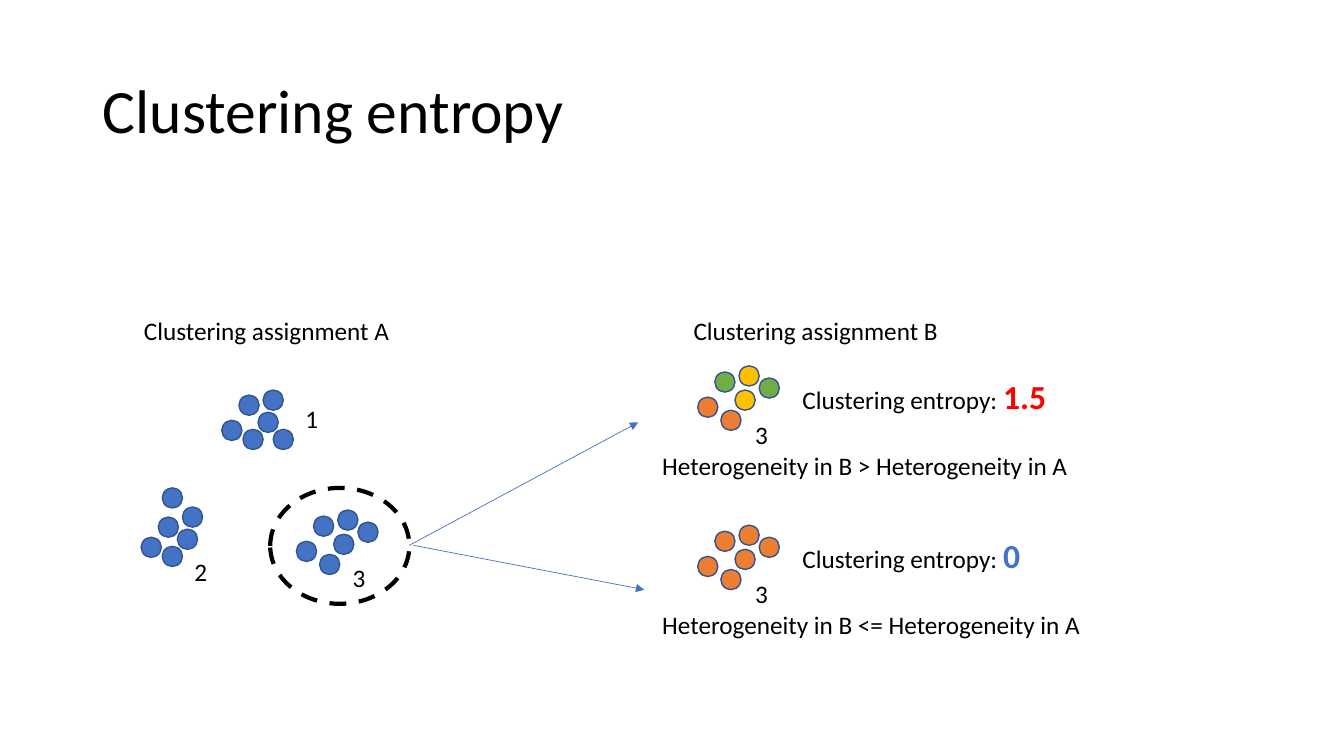
from lxml import etree
from pptx import Presentation
from pptx.dml.color import RGBColor
from pptx.enum.dml import MSO_LINE
from pptx.enum.shapes import MSO_CONNECTOR, MSO_SHAPE
from pptx.enum.text import MSO_ANCHOR, MSO_AUTO_SIZE, PP_ALIGN
from pptx.oxml.ns import qn
from pptx.util import Inches, Pt

OVAL = MSO_SHAPE.OVAL
STRAIGHT = MSO_CONNECTOR.STRAIGHT
DASH = MSO_LINE.DASH
LEFT = PP_ALIGN.LEFT
MIDDLE = MSO_ANCHOR.MIDDLE
FIT_SHAPE = MSO_AUTO_SIZE.SHAPE_TO_FIT_TEXT

BLUE, ORANGE, GREEN, YELLOW = "4472C4", "ED7D31", "70AD47", "FFC000"
OUTLINE, BLACK, RED = "325491", "000000", "FF0000"

# Content: lengths in inches
TITLE = "Clustering entropy"
DOT_SIZE = 0.2
LABEL_SIZE = (0.33, 0.4)
HEADING_TOP = 3.08

# Dot offsets from the top left corner of each cluster
CLUSTER_1 = [(0, 0.3), (0.17, 0.05), (0.21, 0.39), (0.36, 0.22), (0.41, 0), (0.51, 0.39)]
CLUSTER_2 = [(0, 0.49), (0.17, 0.29), (0.21, 0.58), (0.36, 0.41), (0.41, 0.19), (0.21, 0)]
CLUSTER_3 = [(0, 0.31), (0.17, 0.06), (0.23, 0.44), (0.61, 0.12), (0.41, 0), (0.37, 0.24)]

# Assignment A: label, corner, dot offsets, label offset
CLUSTERS_A = [
    ("1", (2.2, 3.87), CLUSTER_1, (0.73, 0.08)),
    ("2", (1.4, 4.84), CLUSTER_2, (0.43, 0.63)),
    ("3", (2.94, 5.06), CLUSTER_3, (0.46, 0.47)),
]

# Assignment B: top, dot colours, entropy, its colour and box width, verdict and its box width
B_LEFT = 6.92
CASES_B = [
    (3.63, [ORANGE, GREEN, ORANGE, GREEN, YELLOW, YELLOW],
     "1.5", RED, 2.65, "Heterogeneity in B > Heterogeneity in A", 4.24),
    (5.21, [ORANGE] * 6,
     "0", BLUE, 2.39, "Heterogeneity in B <= Heterogeneity in A", 4.37),
]

RING = (2.68, 4.84, 1.38, 1.15)
ARROWS = [((4.06, 5.41), (6.33, 4.19)), ((4.1, 5.41), (6.39, 5.85))]


def color(value):
    return RGBColor.from_string(value)


def inches(values):
    return [Inches(value) for value in values]


def write(paragraph, text, size=18, fill=BLACK, bold=False):
    run = paragraph.add_run()
    run.text = text
    run.font.name = "Calibri"
    run.font.size = Pt(size)
    run.font.bold = bold
    run.font.color.rgb = color(fill)


def add_text(shapes, box, *parts):
    """Each part is a text and a dict of its format."""
    frame = shapes.add_textbox(*inches(box)).text_frame
    frame.word_wrap = False
    frame.auto_size = FIT_SHAPE
    for text, style in parts:
        write(frame.paragraphs[0], text, **style)


def add_oval(shapes, box, fill=None, line=OUTLINE, width=1):
    oval = shapes.add_shape(OVAL, *inches(box))
    oval.shadow.inherit = False
    if fill:
        oval.fill.solid()
        oval.fill.fore_color.rgb = color(fill)
    else:
        oval.fill.background()
    oval.line.color.rgb = color(line)
    oval.line.width = Pt(width)
    return oval


def add_cluster(shapes, label, corner, offsets, label_offset, fills):
    left, top = corner
    for (across, down), fill in zip(offsets, fills):
        add_oval(shapes, (left + across, top + down, DOT_SIZE, DOT_SIZE), fill)
    across, down = label_offset
    add_text(shapes, (left + across, top + down, *LABEL_SIZE), (label, {}))


def add_arrow(shapes, start, end):
    arrow = shapes.add_connector(STRAIGHT, *inches(start + end))
    arrow.line.color.rgb = color(BLUE)
    arrow.line.width = Pt(0.5)
    etree.SubElement(arrow.line._get_or_add_ln(), qn("a:tailEnd"), type="triangle")
    etree.SubElement(arrow._element.spPr, qn("a:effectLst"))


def main():
    presentation = Presentation()
    presentation.slide_width, presentation.slide_height = Inches(13.33), Inches(7.5)
    slide = presentation.slides.add_slide(presentation.slide_layouts[5])
    shapes = slide.shapes

    # Title
    title = shapes.title
    title.left, title.top, title.width, title.height = inches((0.92, 0.4, 11.5, 1.45))
    title.text_frame.vertical_anchor = MIDDLE
    paragraph = title.text_frame.paragraphs[0]
    paragraph.alignment = LEFT
    paragraph.line_spacing = 0.9
    write(paragraph, TITLE, size=44)

    # Assignment A
    add_text(shapes, (1.33, HEADING_TOP, 2.66, 0.4), ("Clustering assignment A", {}))
    for cluster in CLUSTERS_A:
        add_cluster(shapes, *cluster, fills=[BLUE] * 6)

    # Assignment B
    for index, (top, fills, entropy, fill, width, verdict, verdict_width) in enumerate(CASES_B):
        group = shapes.add_group_shape().shapes
        add_cluster(group, "3", (B_LEFT, top), CLUSTER_3, (0.47, 0.48), fills)
        if index == 0:
            add_text(group, (6.78, HEADING_TOP, 2.65, 0.4), ("Clustering assignment B", {}))
        add_text(group, (B_LEFT + 0.94, top + 0.05, width, 0.5),
                 ("Clustering entropy: ", {}),
                 (entropy, {"size": 24, "fill": fill, "bold": True}))
        add_text(shapes, (B_LEFT - 0.45, top + 0.79, verdict_width, 0.4), (verdict, {}))

    # Ring around cluster 3 and arrows to both cases
    ring = add_oval(shapes, RING, line=BLACK, width=3)
    ring.line.dash_style = DASH
    for start, end in ARROWS:
        add_arrow(shapes, start, end)

    presentation.save("out.pptx")


if __name__ == "__main__":
    main()
